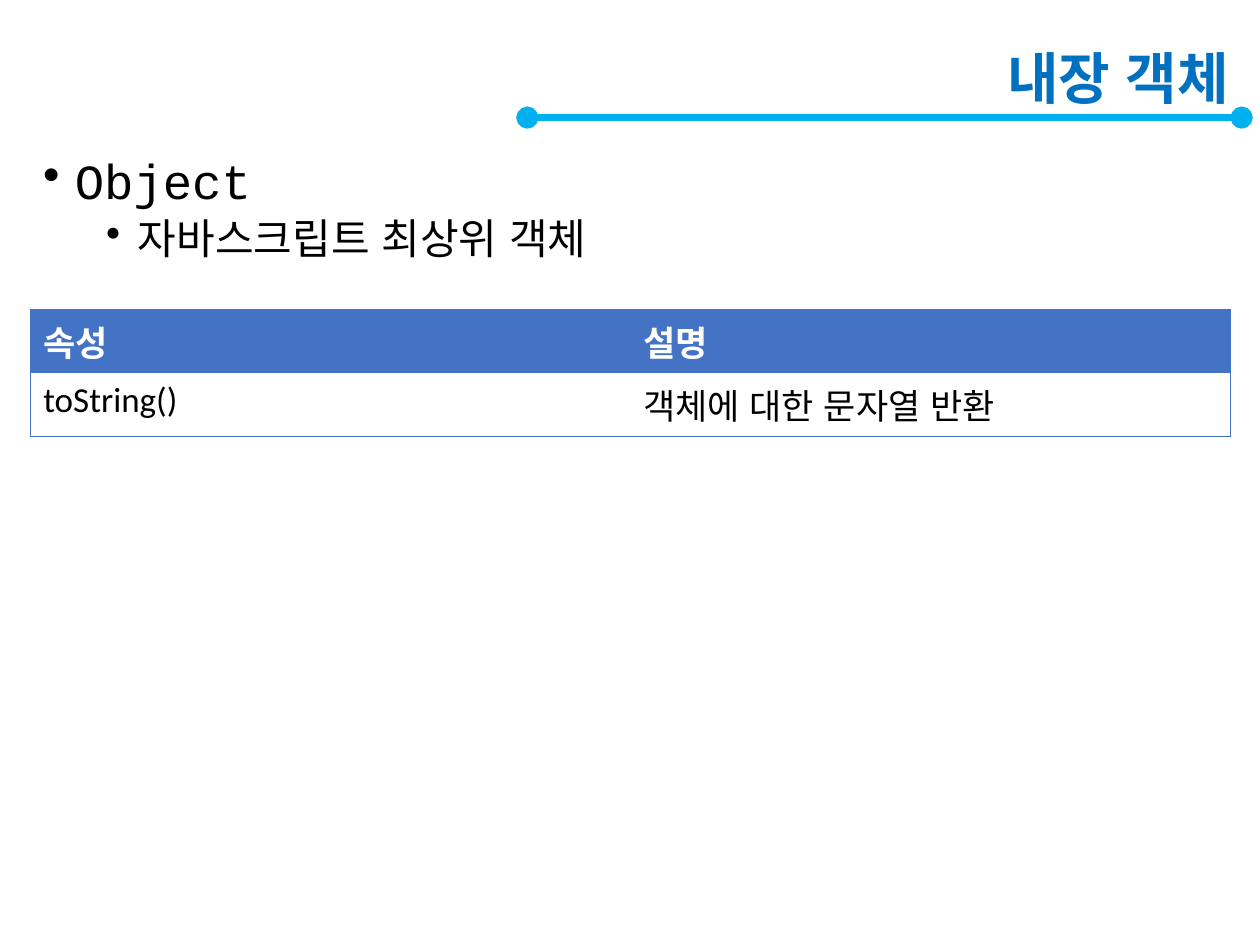
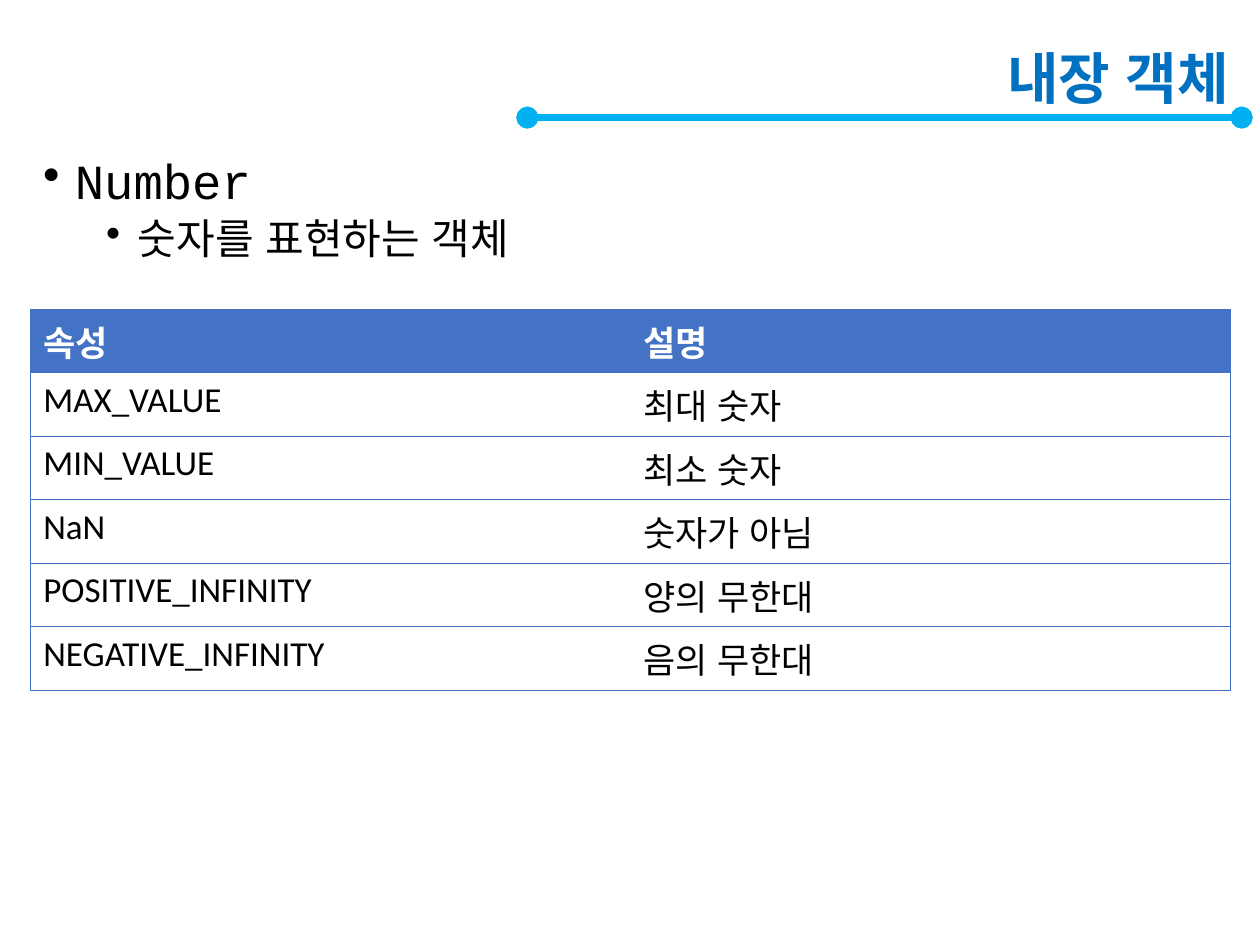
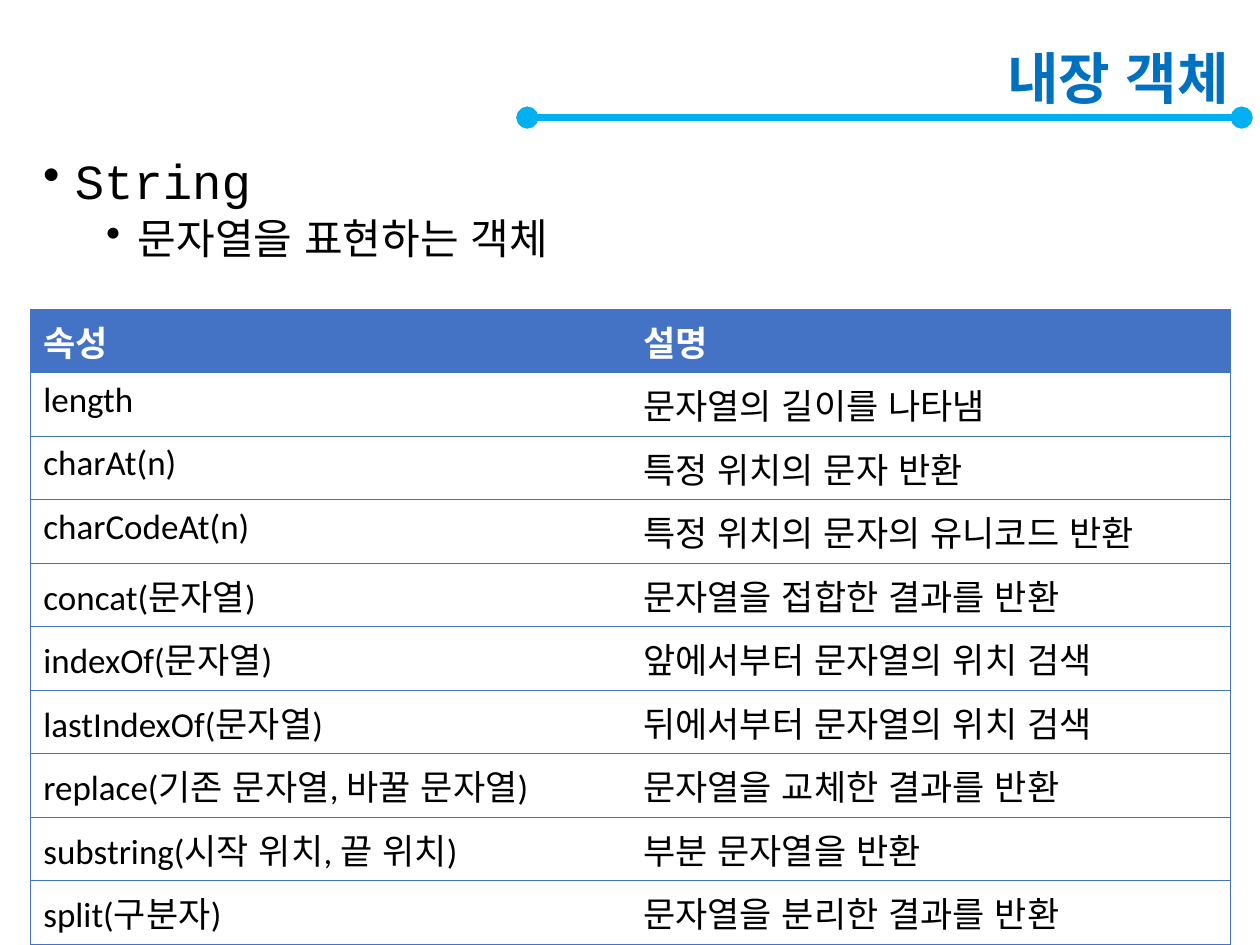
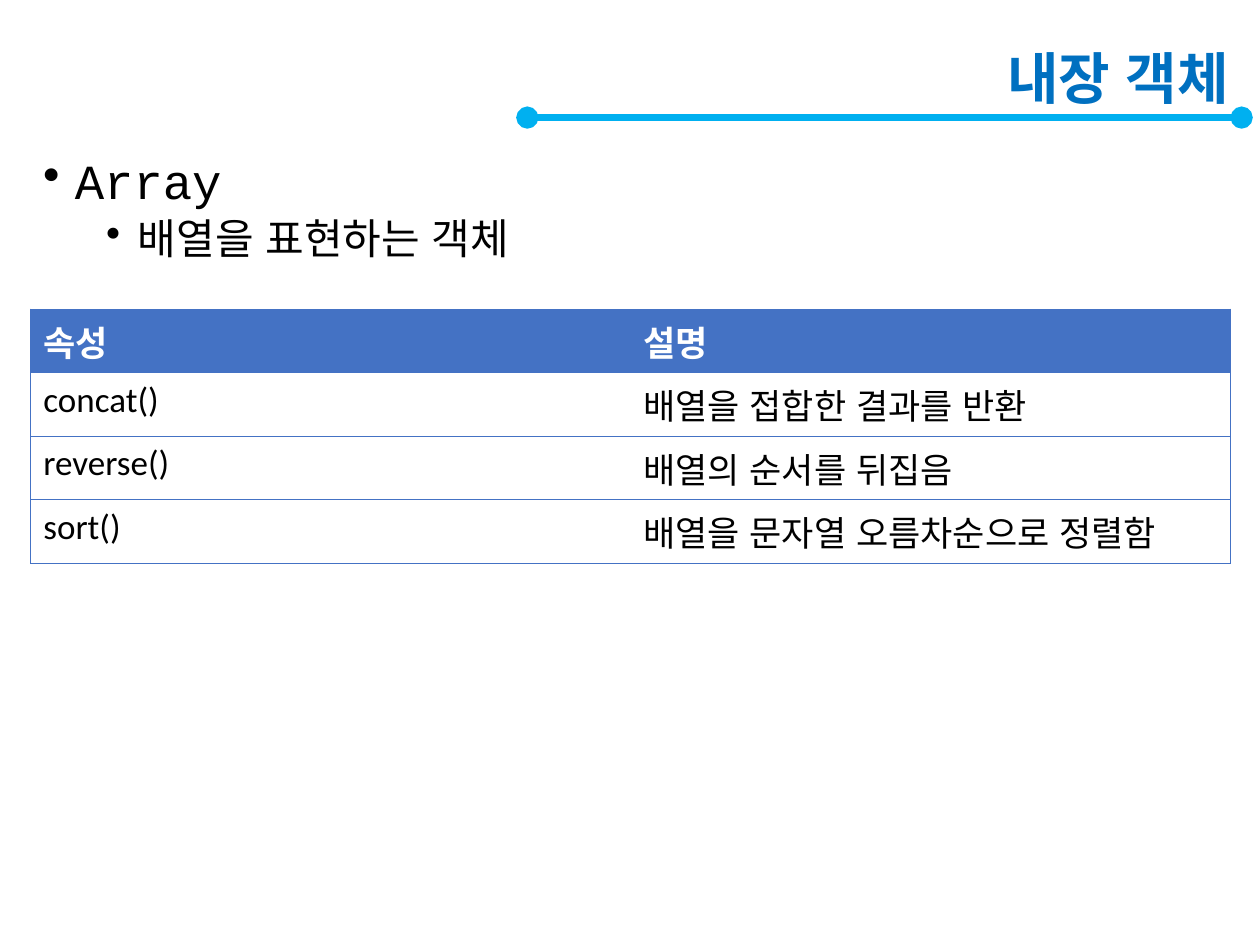
from dataclasses import dataclass

from lxml.etree import SubElement
from pptx import Presentation
from pptx.dml.color import RGBColor
from pptx.enum.lang import MSO_LANGUAGE_ID
from pptx.enum.shapes import MSO_CONNECTOR
from pptx.enum.text import MSO_ANCHOR, MSO_AUTO_SIZE, PP_ALIGN
from pptx.oxml.ns import qn
from pptx.presentation import Presentation as Deck
from pptx.slide import Slide
from pptx.table import _Cell
from pptx.text.text import Font, _Paragraph
from pptx.util import Cm, Pt


@dataclass(frozen=True)
class Theme:
    title: str = "0070C0"
    rule: str = "00B0F0"
    table: str = "4472C4"
    text: str = "000000"
    header_text: str = "FFFFFF"
    code_font: str = "Courier New"
    table_font: str = "Calibri"
    title_size: float = 32
    body_sizes: tuple[float, float] = (28, 24)
    table_size: float = 20
    rule_width: float = 4.25
    border_width: float = 0.5
    line_spacing: float = 0.9


@dataclass(frozen=True)
class Topic:
    name: str
    summary: str
    members: list[tuple[str, str]]


THEME = Theme()
TITLE = "내장 객체"
HEADER = ("속성", "설명")
LEFT, CONTENT_W = Cm(0.62), Cm(24.41)
RULE_LEFT, RULE_Y = Cm(10.63), Cm(2.37)
COLUMN_W, ROW_H = Cm(12.09), Cm(1.28)

TOPICS = [
    Topic("Object", "자바스크립트 최상위 객체", [
        ("toString()", "객체에 대한 문자열 반환"),
    ]),
    Topic("Number", "숫자를 표현하는 객체", [
        ("MAX_VALUE", "최대 숫자"),
        ("MIN_VALUE", "최소 숫자"),
        ("NaN", "숫자가 아님"),
        ("POSITIVE_INFINITY", "양의 무한대"),
        ("NEGATIVE_INFINITY", "음의 무한대"),
    ]),
    Topic("String", "문자열을 표현하는 객체", [
        ("length", "문자열의 길이를 나타냄"),
        ("charAt(n)", "특정 위치의 문자 반환"),
        ("charCodeAt(n)", "특정 위치의 문자의 유니코드 반환"),
        ("concat(문자열)", "문자열을 접합한 결과를 반환"),
        ("indexOf(문자열)", "앞에서부터 문자열의 위치 검색"),
        ("lastIndexOf(문자열)", "뒤에서부터 문자열의 위치 검색"),
        ("replace(기존 문자열, 바꿀 문자열)", "문자열을 교체한 결과를 반환"),
        ("substring(시작 위치, 끝 위치)", "부분 문자열을 반환"),
        ("split(구분자)", "문자열을 분리한 결과를 반환"),
    ]),
    Topic("Array", "배열을 표현하는 객체", [
        ("concat()", "배열을 접합한 결과를 반환"),
        ("reverse()", "배열의 순서를 뒤집음"),
        ("sort()", "배열을 문자열 오름차순으로 정렬함"),
    ]),
]


def style_font(font: Font, name: str, size: float, color: str, bold: bool = False) -> None:
    font.name, font.size, font.bold = name, Pt(size), bold
    font.color.rgb = RGBColor.from_string(color)
    font.language_id = MSO_LANGUAGE_ID.KOREAN


# Title and the rule below it
def add_rule(slide: Slide) -> None:
    line = slide.shapes.add_connector(
        MSO_CONNECTOR.STRAIGHT, RULE_LEFT, RULE_Y, LEFT + CONTENT_W, RULE_Y)
    line.line.color.rgb = RGBColor.from_string(THEME.rule)
    line.line.width = Pt(THEME.rule_width)
    ln = line.line._get_or_add_ln()
    for end in ("a:headEnd", "a:tailEnd"):
        SubElement(ln, qn(end), type="oval")
    SubElement(line._element.spPr, qn("a:effectLst"))


def add_title(slide: Slide) -> None:
    sp = slide.shapes.title
    sp.left, sp.top, sp.width, sp.height = LEFT, Cm(0.61), CONTENT_W, Cm(2.06)
    tf = sp.text_frame
    tf.text = TITLE
    tf.auto_size = MSO_AUTO_SIZE.NONE
    tf.vertical_anchor = MSO_ANCHOR.MIDDLE
    p = tf.paragraphs[0]
    p.alignment, p.line_spacing = PP_ALIGN.RIGHT, THEME.line_spacing
    style_font(p.runs[0].font, THEME.code_font, THEME.title_size, THEME.title, True)


# Bulleted introduction
def add_bullet(p: _Paragraph, level: int) -> None:
    p.level = level
    p.line_spacing = THEME.line_spacing
    p.space_before = Pt((10, 5)[level])
    pPr = p._p.get_or_add_pPr()
    pPr.set("marL", str(Cm((0.64, 1.91)[level])))
    pPr.set("indent", str(-Cm(0.64)))
    SubElement(pPr, qn("a:buChar"), char="•")


def add_intro(slide: Slide, topic: Topic) -> None:
    tf = slide.shapes.add_textbox(LEFT, Cm(3.04), CONTENT_W, Cm(14.78)).text_frame
    tf.word_wrap = True
    tf.text = f"{topic.name}\n{topic.summary}"
    for level, p in enumerate(tf.paragraphs):
        add_bullet(p, level)
        style_font(p.runs[0].font, THEME.code_font, THEME.body_sizes[level], THEME.text)


# Member table: ruled rows, no inner vertical lines
def set_borders(cell: _Cell, outer_side: str) -> None:
    tcPr = cell._tc.get_or_add_tcPr()
    for side in "LRTB":
        ln = SubElement(tcPr, qn(f"a:ln{side}"), w=str(Pt(THEME.border_width)))
        if side in ("T", "B", outer_side):
            fill = SubElement(ln, qn("a:solidFill"))
            SubElement(fill, qn("a:srgbClr"), val=THEME.table)
        else:
            SubElement(ln, qn("a:noFill"))


def add_members(slide: Slide, topic: Topic) -> None:
    rows = [HEADER, *topic.members]
    table = slide.shapes.add_table(
        len(rows), len(HEADER), LEFT, Cm(6.23),
        COLUMN_W * len(HEADER), ROW_H * len(rows)).table
    table.horz_banding = False
    for i, row in enumerate(rows):
        is_header = i == 0
        for j, text in enumerate(row):
            cell = table.cell(i, j)
            cell.text = text
            set_borders(cell, "LR"[j])
            if is_header:
                cell.fill.solid()
                cell.fill.fore_color.rgb = RGBColor.from_string(THEME.table)
            else:
                cell.fill.background()
            style_font(cell.text_frame.paragraphs[0].runs[0].font,
                       THEME.table_font, THEME.table_size,
                       THEME.header_text if is_header else THEME.text, is_header)


def add_topic_slide(prs: Deck, topic: Topic) -> None:
    slide = prs.slides.add_slide(prs.slide_layouts.get_by_name("Title Only"))
    add_rule(slide)
    add_title(slide)
    add_intro(slide, topic)
    add_members(slide, topic)


prs = Presentation()
prs.slide_width, prs.slide_height = Cm(25.4), Cm(19.05)
for topic in TOPICS:
    add_topic_slide(prs, topic)
prs.save("out.pptx")
